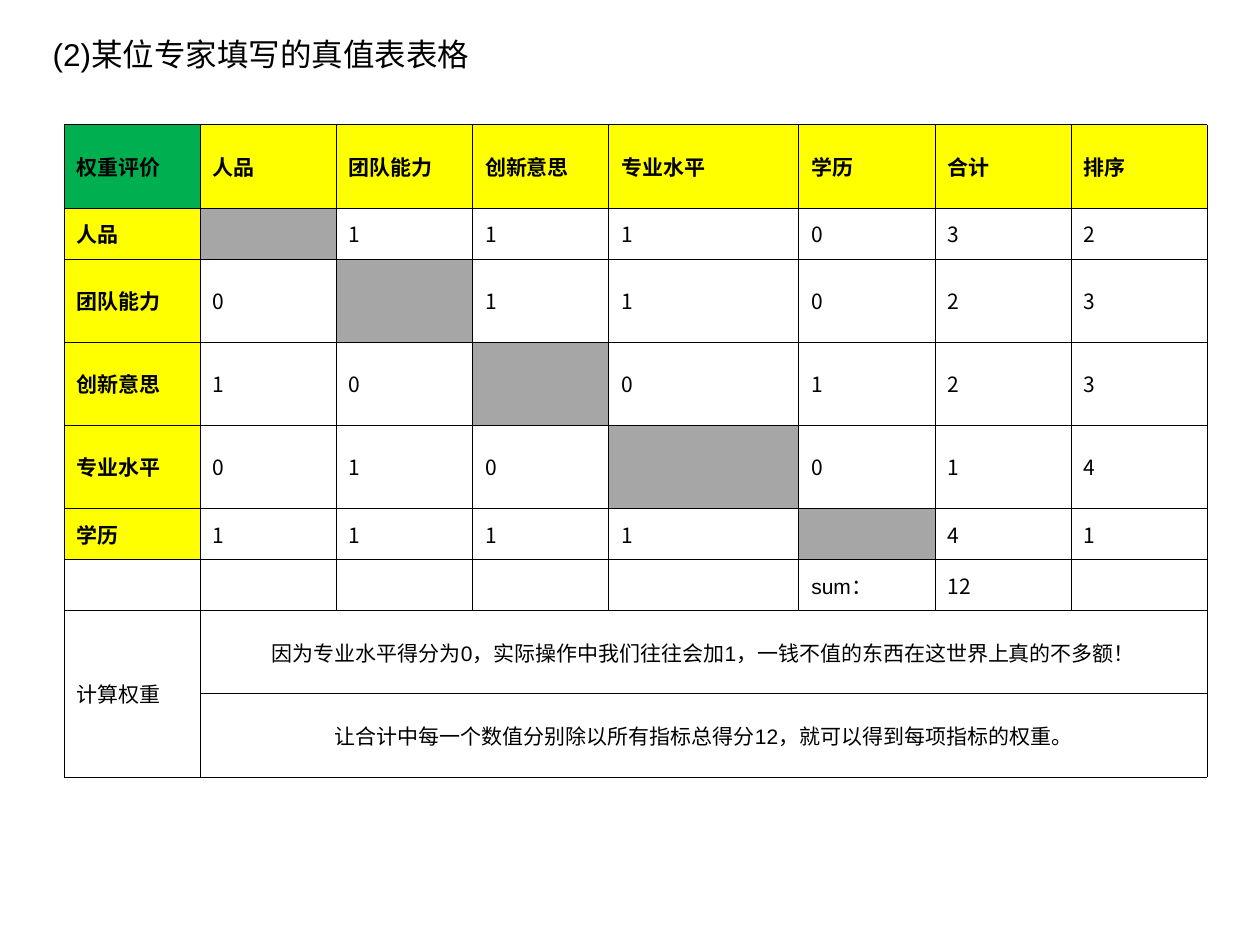
from lxml import etree
from pptx import Presentation
from pptx.dml.color import RGBColor
from pptx.enum.text import MSO_ANCHOR, MSO_AUTO_SIZE, PP_ALIGN
from pptx.oxml.ns import qn
from pptx.util import Inches, Pt

MIDDLE = MSO_ANCHOR.MIDDLE
GROW = MSO_AUTO_SIZE.SHAPE_TO_FIT_TEXT
LEFT, CENTER = PP_ALIGN.LEFT, PP_ALIGN.CENTER
BLACK = RGBColor(0x00, 0x00, 0x00)
GREEN = RGBColor(0x00, 0xB0, 0x50)
YELLOW = RGBColor(0xFF, 0xFF, 0x00)
GRAY = RGBColor(0xA6, 0xA6, 0xA6)
SANS, DIGIT = "Arial", "Noto Sans CJK SC"

TRAITS = ["人品", "团队能力", "创新意思", "专业水平", "学历"]
SCORES = ["_111032", "0_11023", "10_0123", "010_014", "1111_41"]
NOTES = [
    "因为专业水平得分为0，实际操作中我们往往会加1，一钱不值的东西在这世界上真的不多额！",
    "让合计中每一个数值分别除以所有指标总得分12，就可以得到每项指标的权重。",
]
COLS = [1.08] * 4 + [1.51] + [1.08] * 3
SHORT, TALL = 0.4, 0.66
ROWS = [TALL, SHORT, TALL, TALL, TALL, SHORT, SHORT, TALL, TALL]


def write(frame, text, size=12, font=SANS, color=BLACK, bold=False, align=LEFT):
    para = frame.paragraphs[0]
    para.alignment = align
    run = para.add_run()
    run.text = text
    run.font.size = Pt(size)
    run.font.name = font
    run.font.bold = bold
    run.font.color.rgb = color


class Deck:
    def __init__(self):
        self.prs = Presentation()
        self.prs.slide_width, self.prs.slide_height = Inches(10), Inches(7.5)
        self.slide = self.prs.slides.add_slide(self.prs.slide_layouts[6])
        self.line = Pt(0.34)

    def title(self, text, x, y, w, h):
        box = self.slide.shapes.add_textbox(Inches(x), Inches(y), Inches(w), Inches(h))
        box.text_frame.word_wrap = True
        box.text_frame.auto_size = GROW
        write(box.text_frame, text, size=18)

    def table(self, x, y, cols, rows):
        frame = self.slide.shapes.add_table(
            len(rows), len(cols), Inches(x), Inches(y),
            Inches(sum(cols)), Inches(sum(rows)))
        grid = frame.table
        grid.first_row = grid.horz_banding = False
        for col, width in zip(grid.columns, cols):
            col.width = Inches(width)
        for row, height in zip(grid.rows, rows):
            row.height = Inches(height)
        for cell in grid.iter_cells():
            self.border(cell)
            cell.fill.background()
            cell.vertical_anchor = MIDDLE
        return grid

    def border(self, cell):
        props = cell._tc.get_or_add_tcPr()
        for side in ("a:lnL", "a:lnR", "a:lnT", "a:lnB"):
            line = etree.SubElement(props, qn(side), w=str(self.line))
            fill = etree.SubElement(line, qn("a:solidFill"))
            etree.SubElement(fill, qn("a:srgbClr"), val=str(BLACK))

    def cell(self, cell, text="", fill=None, **style):
        if fill is not None:
            cell.fill.solid()
            cell.fill.fore_color.rgb = fill
        if text:
            write(cell.text_frame, text, **style)


def main():
    deck = Deck()
    grid = deck.table(0.51, 0.99, COLS, ROWS)

    deck.cell(grid.cell(0, 0), "权重评价", GREEN, bold=True)
    for c, name in enumerate(TRAITS + ["合计", "排序"], 1):
        deck.cell(grid.cell(0, c), name, YELLOW, bold=True)

    for r, (name, marks) in enumerate(zip(TRAITS, SCORES), 1):
        deck.cell(grid.cell(r, 0), name, YELLOW, bold=True)
        for c, mark in enumerate(marks, 1):
            if r == c:
                deck.cell(grid.cell(r, c), fill=GRAY)
            else:
                deck.cell(grid.cell(r, c), mark, font=DIGIT)

    deck.cell(grid.cell(6, 5), "sum：")
    deck.cell(grid.cell(6, 6), "12", font=DIGIT)

    grid.cell(7, 0).merge(grid.cell(8, 0))
    deck.cell(grid.cell(7, 0), "计算权重")
    for r, note in enumerate(NOTES, 7):
        grid.cell(r, 1).merge(grid.cell(r, 7))
        deck.cell(grid.cell(r, 1), note, align=CENTER)

    deck.title("(2)某位专家填写的真值表表格", 0.32, 0.23, 7.2, 0.4)
    deck.prs.save("out.pptx")


if __name__ == "__main__":
    main()
